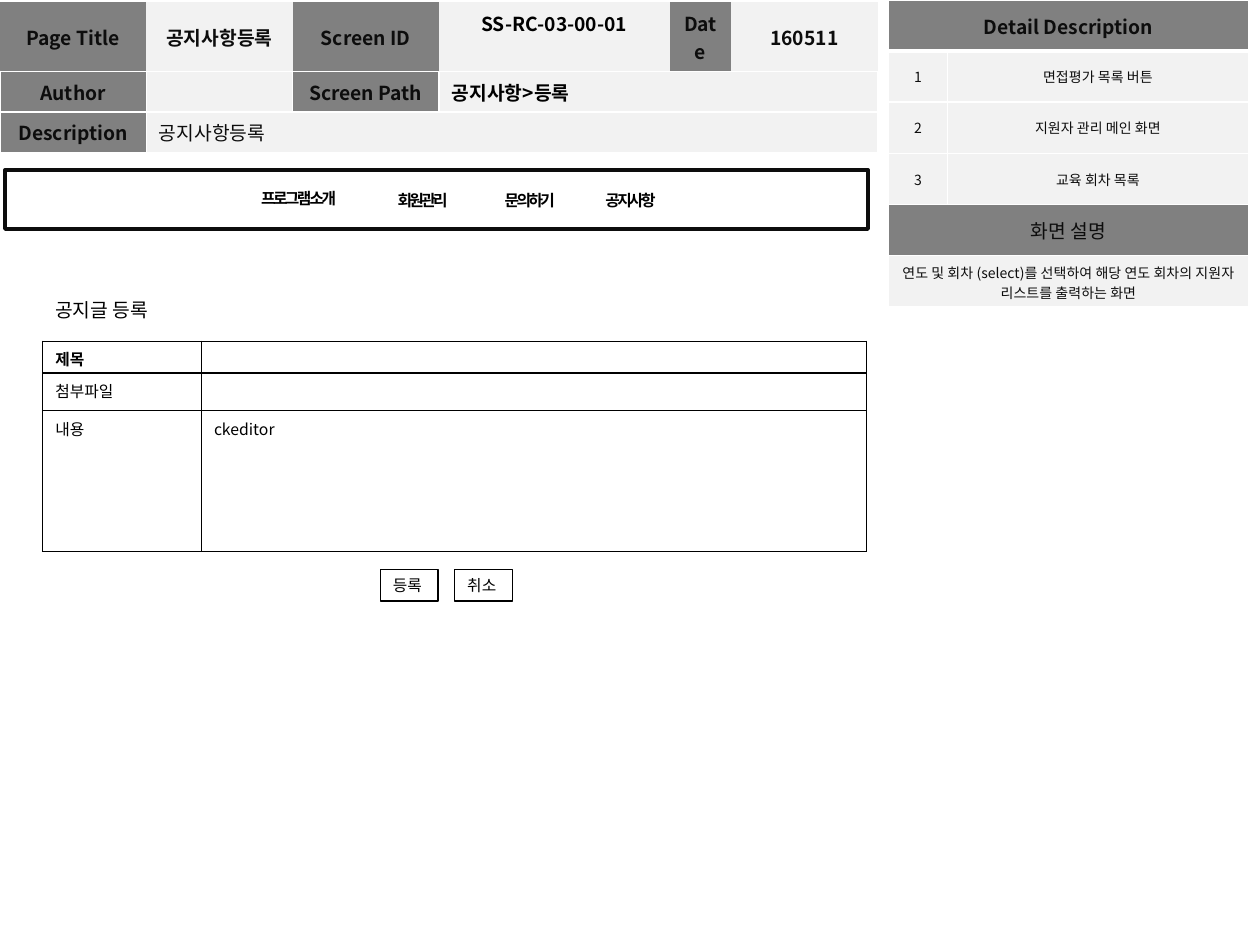
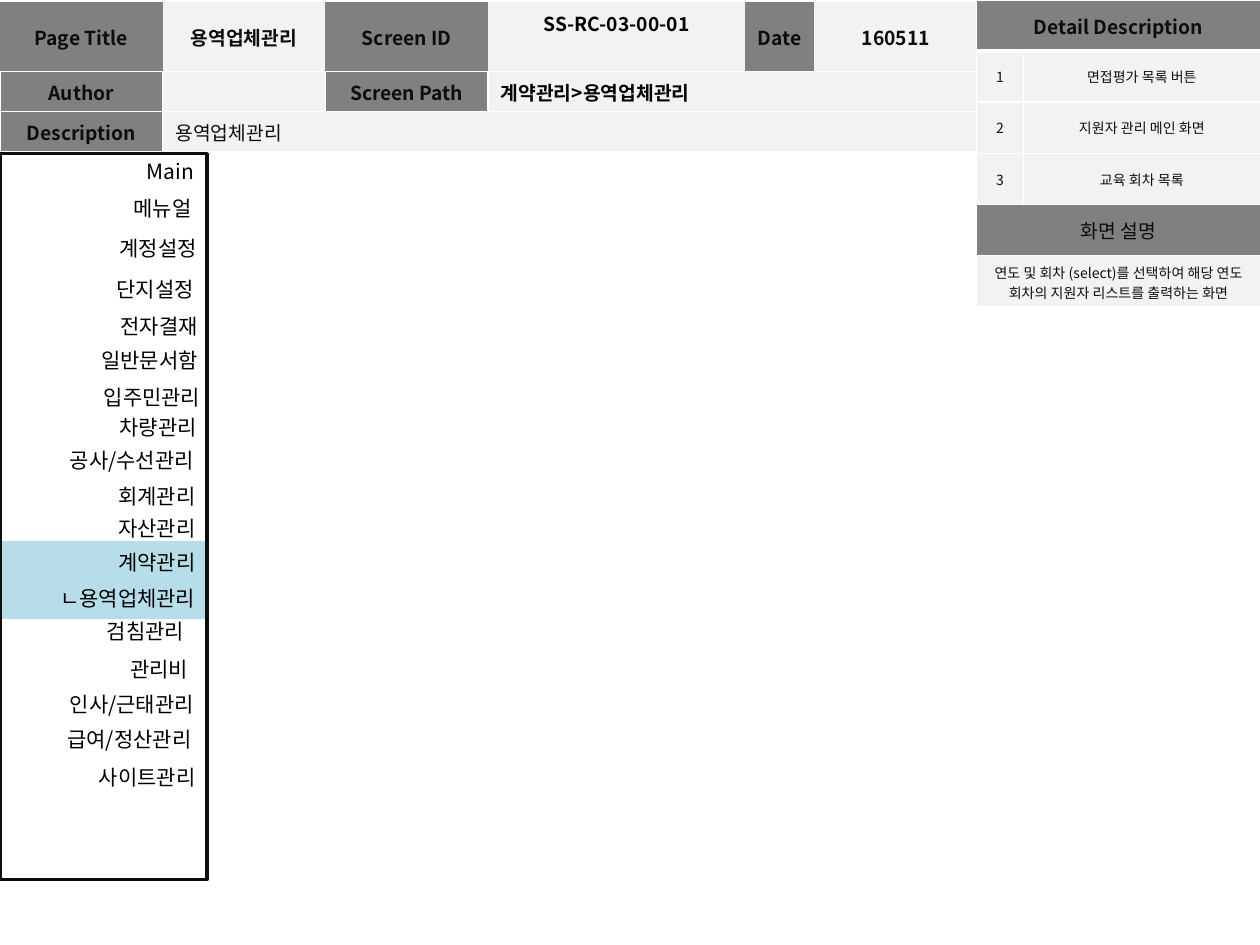
from lxml.etree import SubElement
from pptx import Presentation
from pptx.dml.color import RGBColor
from pptx.enum.shapes import MSO_SHAPE as Shape
from pptx.enum.text import MSO_ANCHOR as Anchor, PP_ALIGN as Align
from pptx.oxml.ns import qn
from pptx.util import Cm, Pt

# Shared style
FONT = "Noto Sans CJK KR"
COLORS = {"label": "808080", "value": "F2F2F2", "ink": "0D0D0D", "black": "000000",
          "white": "FFFFFF", "active": "B7DEE8"}
PLAIN_TABLE = "{2D5ABB26-0587-4C30-8999-92F81FD0307C}"
SIDES = {"left": "a:lnL", "right": "a:lnR", "top": "a:lnT", "bottom": "a:lnB"}

# Content; lengths in centimetres
SCREENS = [
    {"title": "공지사항등록", "path": "공지사항>등록",
     "header_columns": [2.95, 2.95, 2.95, 4.65, 1.24, 2.95],
     "detail_left": 17.91, "detail_columns": [1.19, 6.07]},
    {"title": "용역업체관리", "path": "계약관리>용역업체관리",
     "header_columns": [3.28, 3.28, 3.28, 5.18, 1.4, 3.28],
     "detail_left": 19.69, "detail_columns": [0.94, 4.78]},
]
HEADER_ROWS = [1.4, 0.81, 0.81]
DETAILS = ["면접평가 목록 버튼", "지원자 관리 메인 화면", "교육 회차 목록"]
SUMMARY = "연도 및 회차 (select)를 선택하여 해당 연도 회차의 지원자 리스트를 출력하는 화면"
DETAIL_ROW = 1.03

# Navigation: text, left, top, width
NAVIGATION = [("프로그램 소개", 4.93, 3.68, 2.18), ("회원관리", 7.72, 3.71, 1.6),
              ("문의하기", 9.88, 3.71, 1.6), ("공지사항", 11.91, 3.71, 1.6)]
POST_FORM = [["제목", ""], ["첨부파일", ""], ["내용", "ckeditor"]]
POST_COLUMNS, POST_ROWS = [3.2, 13.41], [0.64, 0.76, 2.84]
BUTTONS = [("등록", 7.67), ("취소", 9.17)]

# Side menu: text, top, left
MENU = [("Main", 3.07, -0.03), ("메뉴얼", 3.81, -0.08), ("계정설정", 4.62, 0.03),
        ("단지설정", 5.44, -0.03), ("전자결재", 6.2, 0.05), ("일반문서함", 6.88, 0.05),
        ("입주민관리", 7.62, 0.1), ("차량관리", 8.23, 0.03), ("공사/수선관리", 8.89, -0.03),
        ("회계관리", 9.63, 0), ("자산관리", 10.26, 0), ("계약관리", 10.95, 0),
        ("ㄴ용역업체관리", 11.68, 0), ("검침관리", 12.34, -0.23), ("관리비", 13.11, -0.15),
        ("인사/근태관리", 13.82, -0.03), ("급여/정산관리", 14.53, -0.08),
        ("사이트관리", 15.29, 0)]


def rgb(name):
    return RGBColor.from_string(COLORS[name])


def write_text(frame, text, size, color="black", bold=False, align=Align.LEFT, tracking=0):
    frame.text = text
    para = frame.paragraphs[0]
    para.alignment = align
    for span in para.runs:
        span.font.size, span.font.bold, span.font.name = Pt(size), bold, FONT
        span.font.color.rgb = rgb(color)
        props = span._r.get_or_add_rPr()
        SubElement(props, qn("a:ea"), typeface=FONT)
        if tracking:
            props.set("spc", str(tracking))
    if not text:  # keeps an empty cell from growing its row
        para._p.get_or_add_endParaRPr().set("sz", str(size * 100))


def place(area):
    return [Cm(length) for length in area]


def add_label(page, text, area, size, wrap=True, **style):
    frame = page.shapes.add_textbox(*place(area)).text_frame
    frame.word_wrap, frame.vertical_anchor = wrap, Anchor.MIDDLE
    write_text(frame, text, size, **style)


def add_box(page, area, line, width, fill=None):
    box = page.shapes.add_shape(Shape.RECTANGLE, *place(area))
    box.shadow.inherit = False
    if fill:
        box.fill.solid()
        box.fill.fore_color.rgb = rgb(fill)
    else:
        box.fill.background()
    box.line.color.rgb, box.line.width = rgb(line), Pt(width)
    return box


def add_grid(page, left, top, columns, rows):
    area = place((left, top, sum(columns), sum(rows)))
    table = page.shapes.add_table(len(rows), len(columns), *area).table
    table.first_row = table.horz_banding = False
    table._tbl.tblPr.find(qn("a:tableStyleId")).text = PLAIN_TABLE
    for column, width in zip(table.columns, columns):
        column.width = Cm(width)
    for row, height in zip(table.rows, rows):
        row.height = Cm(height)
    return table


def set_borders(cell, color, **widths):
    props = cell._tc.get_or_add_tcPr()
    edges = [(tag, widths[side]) for side, tag in SIDES.items() if side in widths]
    for index, (tag, width) in enumerate(edges):
        line = SubElement(props, qn(tag), w=str(Pt(width)))
        SubElement(SubElement(line, qn("a:solidFill")), qn("a:srgbClr"), val=COLORS[color])
        props.insert(index, line)


def all_sides(width):
    return dict.fromkeys(SIDES, width)


def fill_cell(cell, text, fill, size=11, **style):
    write_text(cell.text_frame, text, size, **style)
    cell.vertical_anchor = Anchor.MIDDLE
    cell.fill.solid()
    cell.fill.fore_color.rgb = rgb(fill)


def add_header(page, screen):
    cells = [
        ["Page Title", screen["title"], "Screen ID", "SS-RC-03-00-01", "Date", "160511"],
        ["Author", "", "Screen Path", screen["path"], "", ""],
        ["Description", screen["title"], "", "", "", ""],
    ]
    labels = {"Page Title", "Screen ID", "Date", "Author", "Screen Path", "Description"}
    left_aligned = {(1, 3), (2, 1)}
    table = add_grid(page, 0, 0.04, screen["header_columns"], HEADER_ROWS)
    for y, texts in enumerate(cells):
        for x, text in enumerate(texts):
            cell = table.cell(y, x)
            fill_cell(cell, text, "label" if text in labels else "value",
                      color="black" if x == 3 else "ink", bold=(y, x) != (2, 1),
                      align=Align.LEFT if (y, x) in left_aligned else Align.CENTER)
            set_borders(cell, "white", **(all_sides(1) if y else {"bottom": 1}))
    table.cell(0, 3).margin_bottom = Cm(0.69)  # lifts the screen number
    table.cell(1, 3).merge(table.cell(1, 5))
    table.cell(2, 1).merge(table.cell(2, 5))


def add_details(page, screen):
    numbered = [[str(number), text] for number, text in enumerate(DETAILS, 1)]
    cells = [["Detail Description", ""], *numbered, ["화면 설명", ""], [SUMMARY, ""]]
    headings = (0, len(cells) - 2)
    table = add_grid(page, screen["detail_left"], 0, screen["detail_columns"],
                     [DETAIL_ROW] * len(cells))
    for y, texts in enumerate(cells):
        for x, text in enumerate(texts):
            cell = table.cell(y, x)
            heading = y in headings
            fill_cell(cell, text, "label" if heading else "value", 11 if heading else 8,
                      color="ink", bold=y == 0, align=Align.CENTER)
            set_borders(cell, "white", **{**all_sides(1), "bottom": 1 if y else 3})
        if not texts[1]:
            table.cell(y, 0).merge(table.cell(y, 1))


def add_post_form(page):
    add_box(page, (0.1, 3.43, 17.4, 1.19), "ink", 2)
    for text, left, top, width in NAVIGATION:
        add_label(page, text, (left, top, width, 0.64), 9, wrap=False, bold=True,
                  align=Align.CENTER, tracking=-150)
    add_label(page, "공지글 등록", (0.86, 5.87, 3.3, 0.74), 11)
    table = add_grid(page, 0.86, 6.88, POST_COLUMNS, POST_ROWS)
    for y, texts in enumerate(POST_FORM):
        for x, text in enumerate(texts):
            cell = table.cell(y, x)
            write_text(cell.text_frame, text, 9, bold=y == 0)
            cell.margin_bottom = Cm(0.04)
            set_borders(cell, "black", **all_sides(1))
    for text, left in BUTTONS:
        frame = add_box(page, (left, 11.48, 1.16, 0.64), "black", 0.75).text_frame
        frame.word_wrap = False
        write_text(frame, text, 9)


def add_side_menu(page):
    add_box(page, (0, 10.87, 4.17, 1.65), "white", 2, fill="active")
    add_box(page, (0, 3.1, 4.17, 14.63), "ink", 2)
    for text, top, left in MENU:
        add_label(page, text, (left, top, 4.19, 0.76), 12, align=Align.RIGHT)


def main():
    deck = Presentation()
    deck.slide_width, deck.slide_height = Cm(25.4), Cm(19.05)
    for screen, add_body in zip(SCREENS, (add_post_form, add_side_menu)):
        page = deck.slides.add_slide(deck.slide_layouts[6])
        add_header(page, screen)
        add_body(page)
        add_details(page, screen)
    deck.save("out.pptx")


if __name__ == "__main__":
    main()
